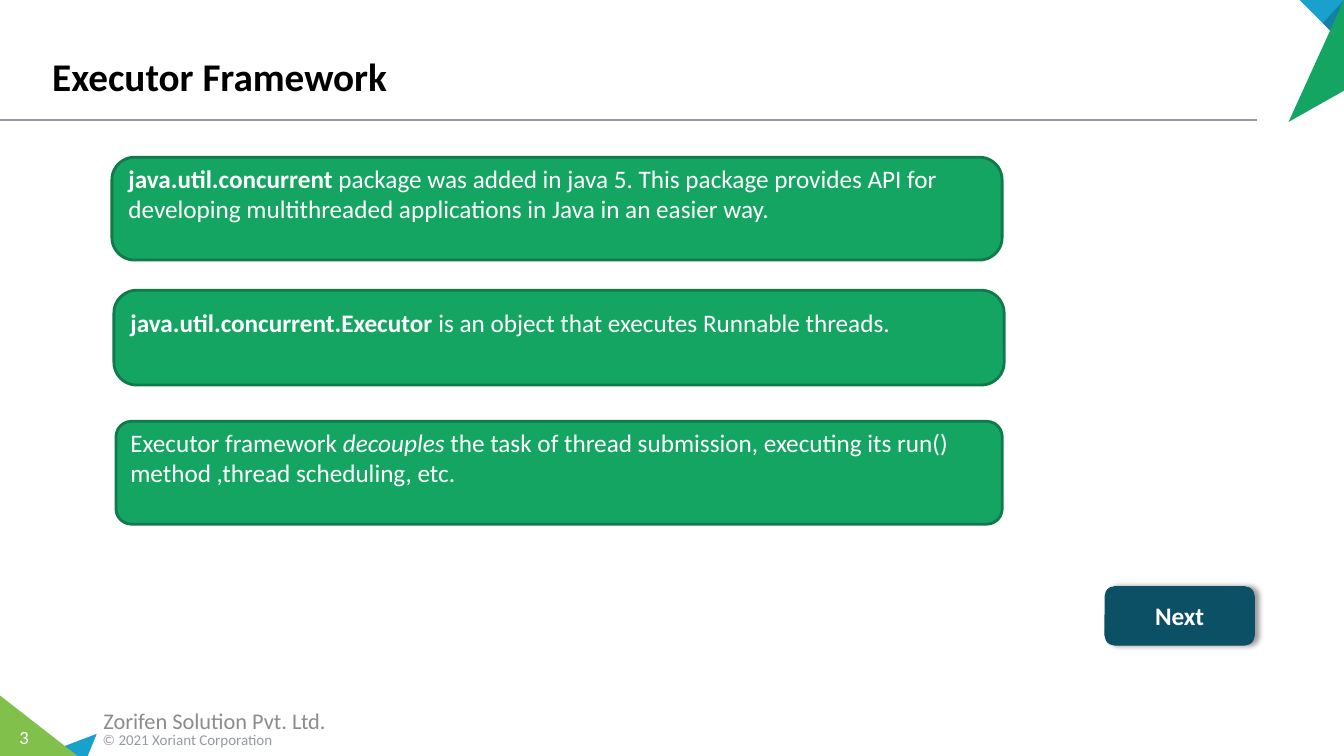
"""Build the Executor Framework slide."""
import lxml.etree
import pptx
import pptx.dml.color
import pptx.enum.shapes
import pptx.enum.text
import pptx.oxml.ns
import pptx.util

Inches = pptx.util.Inches
Pt = pptx.util.Pt
Rgb = pptx.dml.color.RGBColor.from_string
Align = pptx.enum.text.PP_ALIGN
Anchor = pptx.enum.text.MSO_ANCHOR
Shape = pptx.enum.shapes.MSO_SHAPE
qn = pptx.oxml.ns.qn

theme = {
    "font": "Calibri",
    "title": 28, "body": 18, "firm": 16, "page": 13.3, "note": 10.7,
    "black": "000000", "white": "FFFFFF", "gray": "959AA5", "dim": "8C8C8C",
    "green": "15A563", "edge": "107A49", "lime": "81C14B",
    "blue": "17A1CC", "deep": "1281A3", "teal": "0C5066",
}


def write(shape, runs, size, color, align=Align.LEFT, anchor=Anchor.MIDDLE):
    """Fill a shape with runs given as (text, style) pairs."""
    frame = shape.text_frame
    frame.word_wrap = True
    frame.vertical_anchor = anchor
    para = frame.paragraphs[0]
    para.alignment = align
    for text, style in runs:
        run = para.add_run()
        run.text = text
        run.font.name = theme["font"]
        run.font.size = Pt(theme[size])
        run.font.color.rgb = Rgb(theme[color])
        run.font.bold = style == "bold"
        run.font.italic = style == "italic"


def paint(shape, fill, edge=None, width=0):
    """Give a shape a flat fill and an optional outline."""
    shape.shadow.inherit = False
    shape.fill.solid()
    shape.fill.fore_color.rgb = Rgb(theme[fill])
    if edge:
        shape.line.color.rgb = Rgb(theme[edge])
        shape.line.width = Pt(width)
    else:
        shape.line.fill.background()


deck = pptx.Presentation()
deck.slide_width = Inches(13.33)
deck.slide_height = Inches(7.5)
slide = deck.slides.add_slide(deck.slide_layouts[6])
shapes = slide.shapes

rule = shapes.add_connector(
    pptx.enum.shapes.MSO_CONNECTOR.STRAIGHT,
    Inches(0), Inches(1.19), Inches(12.47), Inches(1.19))
rule.line.color.rgb = Rgb(theme["gray"])
rule.line.width = Pt(1)
lxml.etree.SubElement(rule._element.spPr, qn("a:effectLst"))

shards = [
    ("blue", [(0.96, 7.28), (0.87, 7.5), (0.38, 7.5)]),
    ("lime", [(0, 6.9), (0.77, 7.5), (0, 7.5)]),
    ("blue", [(12.89, 0), (13.33, 0), (13.33, 0.44)]),
    ("deep", [(13.12, 0.23), (13.33, 0), (13.33, 0.44)]),
    ("green", [(12.78, 1.21), (13.33, 0), (13.33, 0.9)]),
]
for fill, points in shards:
    spots = [(Inches(x), Inches(y)) for x, y in points]
    pen = shapes.build_freeform(*spots[0])
    pen.add_line_segments(spots[1:], close=True)
    paint(pen.convert_to_shape(), fill)

labels = [
    ((0.42, 0.08, 12, 0.96), "Executor Framework", "bold", "title", "black",
     Align.LEFT, Anchor.BOTTOM),
    ((0.92, 7.2, 3.11, 0.28), "© 2021 Xoriant Corporation", "", "note", "gray",
     Align.LEFT, Anchor.MIDDLE),
    ((0, 7.15, 0.48, 0.33), "3", "", "page", "white",
     Align.CENTER, Anchor.TOP),
    ((0.23, 6.95, 3.8, 0.4), "Zorifen Solution Pvt. Ltd.", "", "firm", "dim",
     Align.CENTER, Anchor.MIDDLE),
]
for place, text, style, size, color, align, anchor in labels:
    label = shapes.add_textbox(*map(Inches, place))
    write(label, [(text, style)], size, color, align, anchor)
    if size == "page":
        label.text_frame.margin_left = label.text_frame.margin_right = 0

cards = [
    ((1.11, 1.56, 8.83, 1.02), 0.22, [
        ("java.util.concurrent ", "bold"),
        ("package was added in java 5. This package provides API for "
         "developing multithreaded applications in Java in an easier way.", "")]),
    ((1.13, 2.88, 8.83, 0.94), 0.24, [
        ("java.util.concurrent.Executor ", "bold"),
        ("is an object that executes Runnable threads.", "")]),
    ((1.15, 4.18, 8.79, 1.02), 0.15, [
        ("Executor framework ", ""),
        ("decouples ", "italic"),
        ("the task of thread submission, executing its run() method "
         ",thread scheduling, etc.", "")]),
]
for place, curve, runs in cards:
    card = shapes.add_shape(Shape.ROUNDED_RECTANGLE, *map(Inches, place))
    card.adjustments[0] = curve
    paint(card, "green", "edge", 2)
    write(card, runs, "body", "white")
    card.text_frame.margin_bottom = Inches(0.35)

button = shapes.add_shape(
    Shape.ROUNDED_RECTANGLE,
    Inches(10.96), Inches(5.82), Inches(1.48), Inches(0.58))
paint(button, "teal", "teal", 0.75)
write(button, [("Next", "bold")], "body", "white", Align.CENTER)
glow = lxml.etree.SubElement(
    button._element.spPr.find(qn("a:effectLst")), qn("a:outerShdw"),
    blurRad=str(Pt(4)), dist=str(Pt(3)), dir="0", algn="l", rotWithShape="0")
shade = lxml.etree.SubElement(glow, qn("a:srgbClr"), val=theme["black"])
lxml.etree.SubElement(shade, qn("a:alpha"), val="40000")

deck.save("out.pptx")
